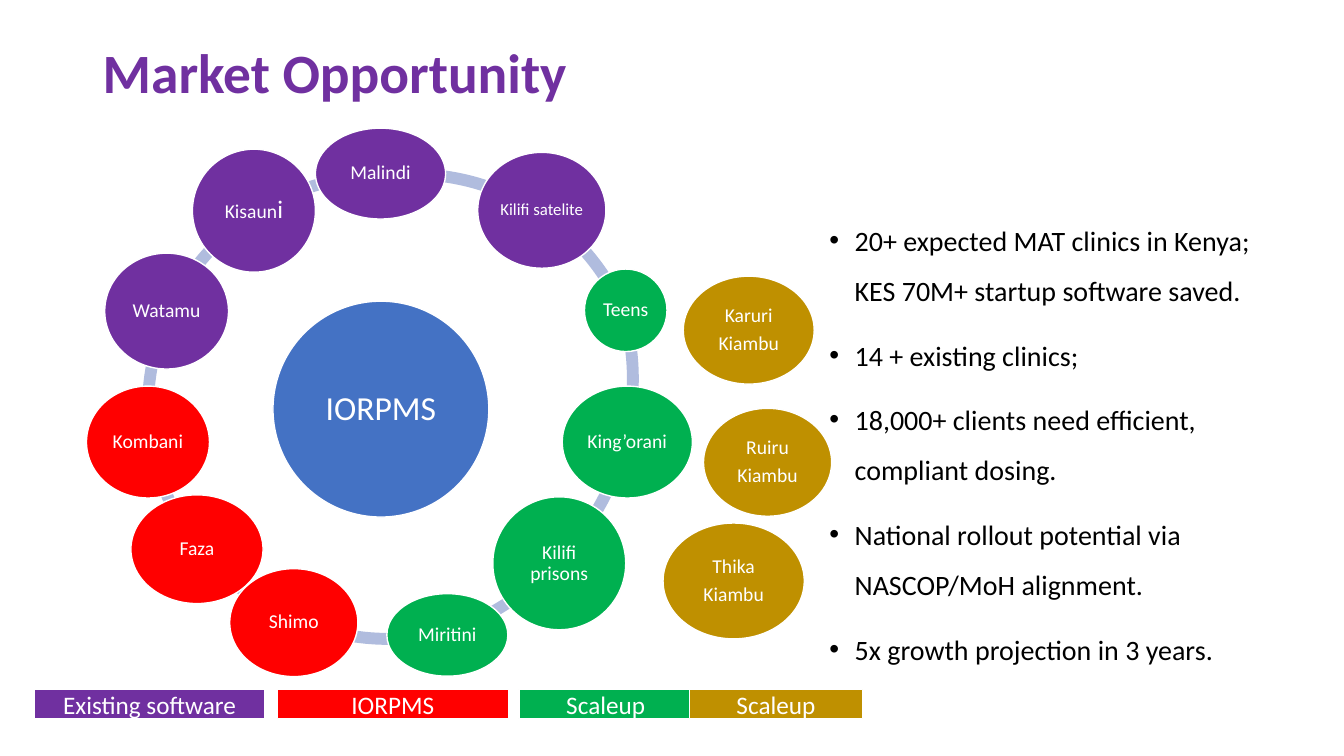
from dataclasses import dataclass
from typing import Any

from lxml import etree
from pptx import Presentation
from pptx.dml.color import RGBColor
from pptx.enum.shapes import MSO_SHAPE
from pptx.enum.text import MSO_ANCHOR, PP_ALIGN
from pptx.oxml.ns import qn
from pptx.util import Cm, Pt

OVAL = MSO_SHAPE.OVAL
RECTANGLE = MSO_SHAPE.RECTANGLE
BLOCK_ARC = MSO_SHAPE.BLOCK_ARC
MIDDLE = MSO_ANCHOR.MIDDLE
TOP = MSO_ANCHOR.TOP
CENTER = PP_ALIGN.CENTER
LEFT = PP_ALIGN.LEFT


@dataclass(frozen=True)
class Theme:
    font: str = "Calibri"
    existing: str = "7030A0"
    iorpms: str = "FF0000"
    scaleup: str = "00B050"
    expansion: str = "BF9000"
    hub: str = "4472C4"
    ring: str = "B0BCDE"
    white: str = "FFFFFF"
    black: str = "000000"
    title_size: float = 39.6
    hub_size: float = 24
    body_size: float = 20
    legend_size: float = 18
    clinic_size: float = 14
    small_size: float = 12


THEME = Theme()


@dataclass(frozen=True)
class Box:
    left: float
    top: float
    width: float
    height: float

    def lengths(self) -> tuple[Cm, Cm, Cm, Cm]:
        return Cm(self.left), Cm(self.top), Cm(self.width), Cm(self.height)


@dataclass(frozen=True)
class RingArc:
    left: float
    top: float
    start: float
    end: float


@dataclass(frozen=True)
class Clinic:
    name: str
    box: Box
    color: str
    size: float = THEME.clinic_size
    large_ending: str = ""


@dataclass(frozen=True)
class LegendKey:
    label: str
    left: float
    width: float
    color: str


RING_DIAMETER = 12.01
RING_THICKNESS = 0.3
RING = [
    RingArc(3.58, 4.29, 142.36, 162),
    RingArc(3.58, 4.29, 122.73, 142.36),
    RingArc(3.58, 4.29, 103.09, 122.73),
    RingArc(3.56, 4.11, 84.65, 102),
    RingArc(3.61, 4.17, 67.16, 85.08),
    RingArc(3.78, 4.24, 45.34, 68.26),
    RingArc(3.58, 4.29, 24.55, 44.18),
    RingArc(4.01, 3.86, 7.43, 27.98),
    RingArc(4.09, 3.53, 206.04, 9.47),
    RingArc(4.34, 4.19, 182.34, 201.86),
    RingArc(4.39, 4.24, 157.34, 181.93),
]

CLINICS = [
    Clinic("IORPMS", Box(6.88, 7.59, 5.44, 5.44), THEME.hub, THEME.hub_size),
    Clinic("Malindi", Box(7.95, 3.23, 3.28, 2.29), THEME.existing),
    Clinic("Kilifi satelite", Box(12.04, 3.84, 3.23, 2.92), THEME.existing, THEME.small_size),
    Clinic("Teens", Box(14.73, 6.78, 2.08, 2.08), THEME.scaleup),
    Clinic("King’orani", Box(14.17, 9.73, 3.28, 2.82), THEME.scaleup),
    Clinic("Kilifi prisons", Box(12.42, 12.52, 3.35, 3.35), THEME.scaleup),
    Clinic("Miritini", Box(9.75, 14.96, 3.05, 2.08), THEME.scaleup),
    Clinic("Shimo", Box(5.79, 14.33, 3.23, 2.72), THEME.iorpms),
    Clinic("Faza", Box(3.3, 12.47, 3.33, 2.74), THEME.iorpms),
    Clinic("Kombani", Box(2.18, 9.73, 3.1, 2.82), THEME.iorpms),
    Clinic("Watamu", Box(2.64, 6.38, 3.12, 2.92), THEME.existing),
    Clinic("Kisaun", Box(4.85, 3.76, 3.1, 3.1), THEME.existing, large_ending="i"),
    Clinic("Karuri\nKiambu", Box(17.22, 6.96, 3.3, 2.72), THEME.expansion),
    Clinic("Ruiru\nKiambu", Box(17.73, 10.29, 3.23, 2.72), THEME.expansion),
    Clinic("Thika\nKiambu", Box(16.71, 13.18, 3.56, 2.92), THEME.expansion),
]

LEGEND_TOP = 17.37
LEGEND_HEIGHT = 0.74
LEGEND = [
    LegendKey("IORPMS", 6.99, 5.82, THEME.iorpms),
    LegendKey("Scaleup", 13.08, 4.37, THEME.scaleup),
    LegendKey("Existing software", 0.86, 5.82, THEME.existing),
    LegendKey("Scaleup", 17.37, 4.37, THEME.expansion),
]

OPPORTUNITIES = [
    "20+ expected MAT clinics in Kenya; KES 70M+ startup software saved.",
    "14 + existing clinics;",
    "18,000+ clients need efficient, compliant dosing.",
    "National rollout potential via NASCOP/MoH alignment.",
    "5x growth projection in 3 years.",
]


def apply_format(target: Any, values: dict[str, Any]) -> None:
    for attribute, value in values.items():
        setattr(target, attribute, value)


def add_words(paragraph: Any, words: str, size: float, color: str, bold: bool = False) -> None:
    run = paragraph.add_run()
    run.text = words
    apply_format(run.font, {"name": THEME.font, "size": Pt(size), "bold": bold})
    run.font.color.rgb = RGBColor.from_string(color)


def add_lines(frame: Any, lines: list[str], size: float, color: str,
              layout: dict[str, Any], bold: bool = False) -> None:
    for index, line in enumerate(lines):
        paragraph = frame.add_paragraph() if index else frame.paragraphs[0]
        apply_format(paragraph, layout)
        add_words(paragraph, line, size, color, bold)


def add_filled(slide: Any, preset: Any, box: Box, color: str, outlined: bool = True) -> Any:
    shape = slide.shapes.add_shape(preset, *box.lengths())
    shape.shadow.inherit = False
    shape.fill.solid()
    shape.fill.fore_color.rgb = RGBColor.from_string(color)
    if outlined:
        shape.line.color.rgb = RGBColor.from_string(THEME.white)
        shape.line.width = Pt(1)
    else:
        shape.line.fill.background()
    return shape


def add_text_frame(slide: Any, box: Box, anchor: Any) -> Any:
    frame = slide.shapes.add_textbox(*box.lengths()).text_frame
    apply_format(frame, {"word_wrap": True, "vertical_anchor": anchor})
    return frame


def draw_arc(slide: Any, arc: RingArc) -> None:
    box = Box(arc.left, arc.top, RING_DIAMETER, RING_DIAMETER)
    shape = add_filled(slide, BLOCK_ARC, box, THEME.ring, outlined=False)
    for index, value in enumerate((arc.start, arc.end, RING_THICKNESS / RING_DIAMETER)):
        shape.adjustments[index] = value


def draw_clinic(slide: Any, clinic: Clinic) -> None:
    frame = add_filled(slide, OVAL, clinic.box, clinic.color).text_frame
    margins = {f"margin_{side}": Cm(0.05) for side in ("left", "top", "right", "bottom")}
    apply_format(frame, {"word_wrap": True, "vertical_anchor": MIDDLE, **margins})
    layout = {"alignment": CENTER, "line_spacing": 0.9, "space_after": Pt(clinic.size * 0.35)}
    add_lines(frame, clinic.name.split("\n"), clinic.size, THEME.white, layout)
    if clinic.large_ending:
        add_words(frame.paragraphs[-1], clinic.large_ending, THEME.legend_size, THEME.white)


def draw_legend_key(slide: Any, key: LegendKey) -> None:
    box = Box(key.left, LEGEND_TOP, key.width, LEGEND_HEIGHT)
    frame = add_filled(slide, RECTANGLE, box, key.color).text_frame
    apply_format(frame, {"word_wrap": True, "vertical_anchor": MIDDLE})
    add_lines(frame, [key.label], THEME.legend_size, THEME.white, {"alignment": CENTER})


def draw_opportunities(slide: Any) -> None:
    frame = add_text_frame(slide, Box(20.65, 5.08, 11.71, 12.09), TOP)
    layout = {"alignment": LEFT, "line_spacing": 1.5}
    add_lines(frame, OPPORTUNITIES, THEME.body_size, THEME.black, layout)
    for index, paragraph in enumerate(frame.paragraphs):
        paragraph.space_before = Pt(10 if index else 0)
        properties = paragraph._p.get_or_add_pPr()
        properties.set("marL", str(Cm(0.64)))
        properties.set("indent", str(-Cm(0.64)))
        etree.SubElement(properties, qn("a:buFont")).set("typeface", "Arial")
        etree.SubElement(properties, qn("a:buChar")).set("char", "•")


def main() -> None:
    deck = Presentation()
    apply_format(deck, {"slide_width": Cm(33.87), "slide_height": Cm(19.05)})
    slide = deck.slides.add_slide(deck.slide_layouts[6])
    title = add_text_frame(slide, Box(2.34, 1.02, 29.21, 1.78), MIDDLE)
    add_lines(title, ["Market Opportunity"], THEME.title_size, THEME.existing,
              {"line_spacing": 0.9}, bold=True)
    for arc in RING:
        draw_arc(slide, arc)
    for clinic in CLINICS:
        draw_clinic(slide, clinic)
    draw_opportunities(slide)
    for key in LEGEND:
        draw_legend_key(slide, key)
    deck.save("out.pptx")


if __name__ == "__main__":
    main()
